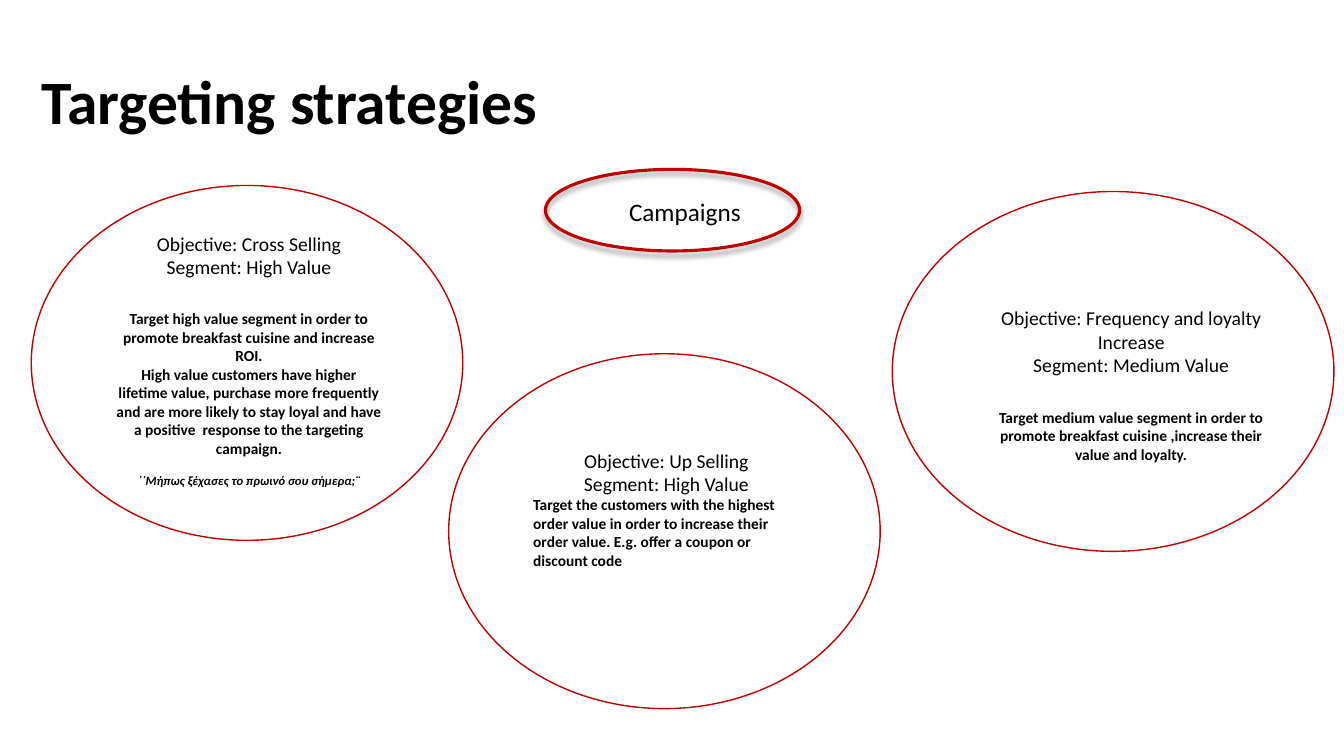
from lxml import etree
from pptx import Presentation
from pptx.dml.color import RGBColor
from pptx.enum.shapes import MSO_SHAPE as Shape
from pptx.enum.text import MSO_ANCHOR as Anchor, PP_ALIGN as Align
from pptx.oxml.ns import qn
from pptx.util import Inches, Pt

RED = RGBColor(0xC0, 0x00, 0x00)
BLACK = RGBColor(0x00, 0x00, 0x00)
FONT = "Calibri"
TITLE_ONLY = 5

HEADING = dict(size=14)
BODY = dict(size=11, bold=True)
SPACED_BODY = dict(BODY, before=22)
SLOGAN = dict(size=9, bold=True, italic=True, before=11)

STRATEGIES = [
    ((0.31, 1.84, 4.28, 3.52), (1.05, 2.25, 2.84, 2.96), [
        ("Objective: Cross Selling", HEADING),
        ("Segment: High Value", HEADING),
        ("Target high value segment in order to promote breakfast cuisine "
         "and increase ROI.", SPACED_BODY),
        ("High value customers have higher lifetime value, purchase more "
         "frequently and are more likely to stay loyal and have a positive  "
         "response to the targeting campaign.", BODY),
        ("΄΄Μήπως ξέχασες το πρωινό σου σήμερα;¨", SLOGAN),
    ]),
    ((8.85, 1.9, 4.38, 3.57), (9.8, 2.99, 2.84, 2.76), [
        ("Objective: Frequency and loyalty Increase", HEADING),
        ("Segment: Medium Value", HEADING),
        ("Target medium value segment in order to promote breakfast cuisine "
         ",increase their value and loyalty.", SPACED_BODY),
    ]),
    ((4.45, 3.51, 4.28, 3.52), (5.19, 4.4, 2.84, 1.92), [
        ("Objective: Up Selling", HEADING),
        ("Segment: High Value", HEADING),
        ("Target the customers with the highest order value in order to "
         "increase their order value. E.g. offer a coupon or discount code",
         dict(BODY, align=Align.LEFT)),
    ]),
]


def inches(place):
    return [Inches(value) for value in place]


def write(para, text, size, bold=False, italic=False, before=0,
          align=Align.CENTER):
    para.text = text
    para.alignment = align
    if before:
        para.space_before = Pt(before)
    font = para.runs[0].font
    font.name, font.size = FONT, Pt(size)
    font.bold, font.italic = bold, italic
    font.color.rgb = BLACK


def add_title(slide, text):
    title = slide.shapes.title
    title.left, title.top, title.width, title.height = inches(
        (0.31, 0.4, 12.02, 1.28))
    title.text_frame.vertical_anchor = Anchor.MIDDLE
    para = title.text_frame.paragraphs[0]
    write(para, text, 44, bold=True, align=Align.LEFT)
    para.line_spacing = 0.9


def add_ellipse(shapes, place, weight):
    ellipse = shapes.add_shape(Shape.OVAL, *inches(place))
    ellipse.shadow.inherit = False
    ellipse.fill.background()
    ellipse.line.color.rgb = RED
    ellipse.line.width = Pt(weight)
    return ellipse


def add_shadow(shape):
    effects = shape.element.spPr.find(qn("a:effectLst"))
    shadow = etree.SubElement(
        effects, qn("a:outerShdw"), blurRad=str(Pt(4)), dist=str(Pt(3)),
        dir="5400000", algn="t", rotWithShape="0")
    color = etree.SubElement(shadow, qn("a:srgbClr"), val=str(BLACK))
    etree.SubElement(color, qn("a:alpha"), val="40000")


def add_text(shapes, place, lines):
    box = shapes.add_textbox(*inches(place))
    frame = box.text_frame
    frame.word_wrap = True
    for index, (text, style) in enumerate(lines):
        para = frame.add_paragraph() if index else frame.paragraphs[0]
        write(para, text, **style)


def add_campaigns(slide):
    group = slide.shapes.add_group_shape()
    add_shadow(add_ellipse(group.shapes, (5.41, 1.68, 2.52, 0.81), 2.25))
    add_text(group.shapes, (6.14, 1.9, 2.25, 0.4),
             [("Campaigns", dict(size=18, align=Align.LEFT))])


def main():
    deck = Presentation()
    deck.slide_width, deck.slide_height = Inches(13.33), Inches(7.5)
    slide = deck.slides.add_slide(deck.slide_layouts[TITLE_ONLY])
    add_title(slide, "Targeting strategies")
    add_campaigns(slide)
    for ellipse_place, text_place, lines in STRATEGIES:
        add_ellipse(slide.shapes, ellipse_place, 1)
        add_text(slide.shapes, text_place, lines)
    deck.save("out.pptx")


if __name__ == "__main__":
    main()
